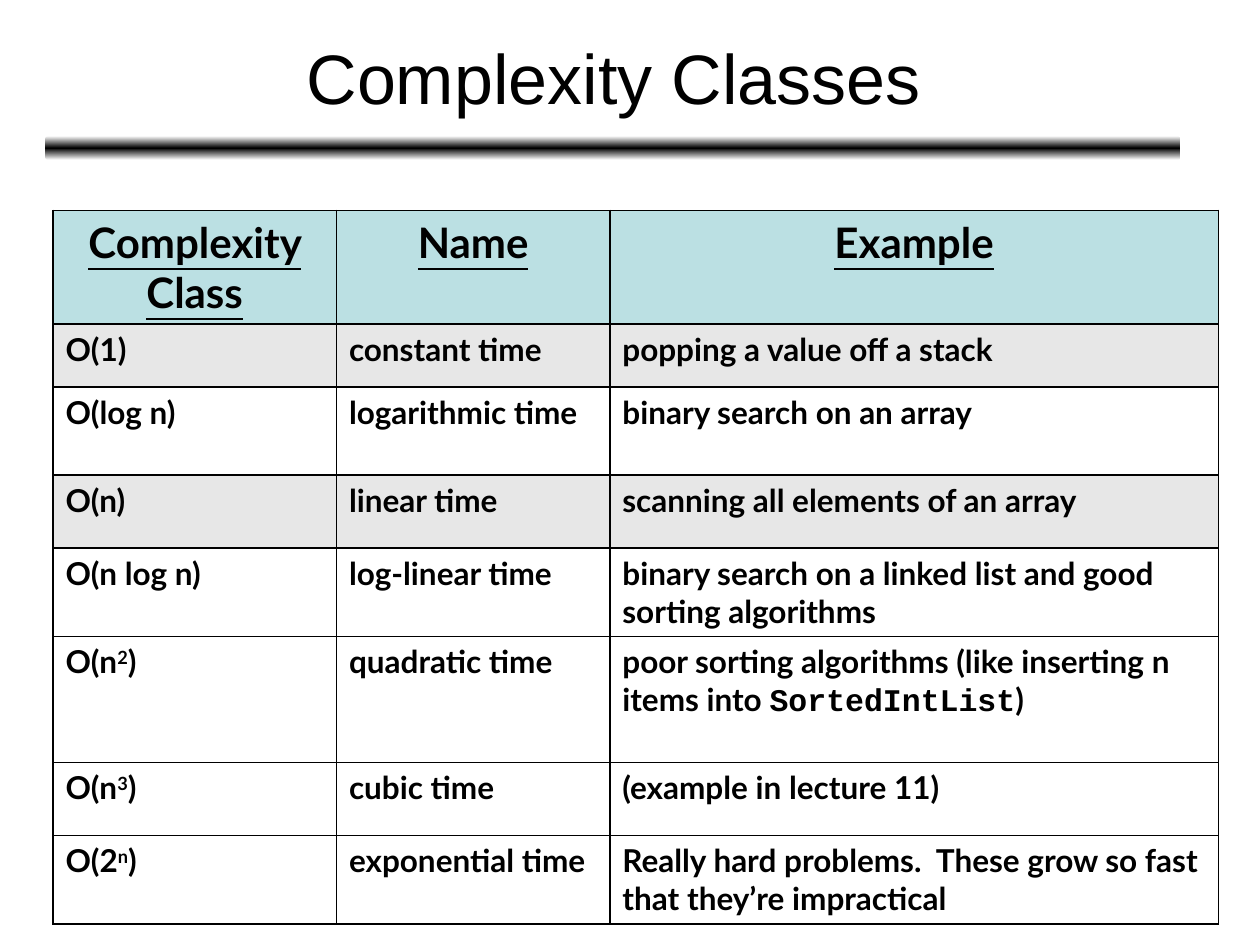
from copy import deepcopy
from dataclasses import dataclass

from lxml import etree
from pptx import Presentation
from pptx.dml.color import RGBColor
from pptx.enum.shapes import MSO_SHAPE
from pptx.enum.text import MSO_ANCHOR, PP_ALIGN
from pptx.oxml.ns import qn
from pptx.util import Inches, Pt

ROUNDED = MSO_SHAPE.ROUNDED_RECTANGLE
MIDDLE = MSO_ANCHOR.MIDDLE
CENTER = PP_ALIGN.CENTER
LEFT = PP_ALIGN.LEFT
COLUMNS, ROWS = 100, 75
WIDTH, HEIGHT = Inches(10), Inches(7.5)


@dataclass(frozen=True)
class Theme:
    black: str = "000000"
    white: str = "FFFFFF"
    header: str = "BBE0E3"
    band: str = "E7E7E7"
    title_font: str = "Arial"
    body_font: str = "Lato"
    code_font: str = "Courier New"
    title_size: int = 40
    header_size: int = 24
    body_size: int = 18
    border: float = 1.08


THEME = Theme()
COLUMN_WIDTHS = [22.5, 21.7, 48.3]
ROW_HEIGHTS = [9, 5, 7, 5.8, 7, 10, 5.8, 7]
BANDED_ROWS = {1, 3}
HEADINGS = ["Complexity Class", "Name", "Example"]


def power(base, exponent):
    """Return the runs of a big-O power."""
    return [(f"O({base}", ""), (exponent, "superscript"), (")", "")]


CLASSES = [
    ["O(1)", "constant time", "popping a value off a stack"],
    ["O(log n)", "logarithmic time", "binary search on an array"],
    ["O(n)", "linear time", "scanning all elements of an array"],
    ["O(n log n)", "log-linear time",
     "binary search on a linked list and good sorting algorithms"],
    [power("n", "2"), "quadratic time",
     [("poor sorting algorithms (like inserting n items into ", ""),
      ("SortedIntList", "code"), (")", "")]],
    [power("n", "3"), "cubic time", "(example in lecture 11)"],
    [power("2", "n"), "exponential time",
     "Really hard problems.  These grow so fast that they’re impractical"],
]


class SlideBuilder:
    """Draws styled elements on a slide, measured in grid columns and rows."""

    def __init__(self, slide, theme):
        self.slide = slide
        self.theme = theme

    def across(self, columns):
        """Convert grid columns to a length."""
        return round(WIDTH * columns / COLUMNS)

    def down(self, rows):
        """Convert grid rows to a length."""
        return round(HEIGHT * rows / ROWS)

    def box(self, left, top, width, height):
        """Convert a grid rectangle to lengths."""
        return self.across(left), self.down(top), self.across(width), self.down(height)

    def style(self, font, name, size, bold=False, underline=False):
        """Format one font in the text colour."""
        font.name, font.size = name, Pt(size)
        font.bold, font.underline = bold, underline
        font.color.rgb = RGBColor.from_string(self.theme.black)

    def title(self, text, *place):
        """Add the centred slide title."""
        frame = self.slide.shapes.add_textbox(*self.box(*place)).text_frame
        frame.word_wrap = True
        frame.vertical_anchor = MIDDLE
        frame.text = text
        paragraph = frame.paragraphs[0]
        paragraph.alignment = CENTER
        self.style(paragraph.runs[0].font, self.theme.title_font, self.theme.title_size)

    def gradient_bar(self, *place):
        """Add a bar that fades to white at its top and bottom edges."""
        shape = self.slide.shapes.add_shape(ROUNDED, *self.box(*place))
        shape.shadow.inherit = False
        shape.line.fill.background()
        shape.fill.gradient()
        shape.fill.gradient_angle = 90
        stops = shape.fill._fill._gradFill.find(qn("a:gsLst"))
        stops.append(deepcopy(stops[-1]))
        colors = (self.theme.white, self.theme.black, self.theme.white)
        for stop, position, color in zip(shape.fill.gradient_stops, (0, 0.5, 1), colors):
            stop.position = position
            stop.color.rgb = RGBColor.from_string(color)

    def borders(self, cell):
        """Draw all four borders of a cell."""
        properties = cell._tc.get_or_add_tcPr()
        for index, side in enumerate(("lnL", "lnR", "lnT", "lnB")):
            line = etree.Element(qn(f"a:{side}"), w=str(Pt(self.theme.border)))
            fill = etree.SubElement(line, qn("a:solidFill"))
            etree.SubElement(fill, qn("a:srgbClr"), val=self.theme.black)
            properties.insert(index, line)

    def cell(self, cell, content, fill, heading):
        """Fill one table cell with plain text or marked runs."""
        cell.fill.solid()
        cell.fill.fore_color.rgb = RGBColor.from_string(fill)
        self.borders(cell)
        paragraph = cell.text_frame.paragraphs[0]
        paragraph.alignment = CENTER if heading else LEFT
        size = self.theme.header_size if heading else self.theme.body_size
        for text, mark in [(content, "")] if isinstance(content, str) else content:
            run = paragraph.add_run()
            run.text = text
            name = self.theme.code_font if mark == "code" else self.theme.body_font
            self.style(run.font, name, size, bold=True, underline=heading)
            if mark == "superscript":
                run.font._element.set("baseline", "30000")

    def table(self, left, top, widths, heights, content, banded):
        """Add a bordered table with a heading row."""
        place = self.box(left, top, sum(widths), sum(heights))
        table = self.slide.shapes.add_table(len(heights), len(widths), *place).table
        for column, width in zip(table.columns, widths):
            column.width = self.across(width)
        for index, (row, height, values) in enumerate(zip(table.rows, heights, content)):
            row.height = self.down(height)
            fill = self.theme.band if index in banded else self.theme.white
            if index == 0:
                fill = self.theme.header
            for cell, value in zip(row.cells, values):
                self.cell(cell, value, fill, heading=index == 0)


def main():
    """Build and save the complexity classes slide."""
    presentation = Presentation()
    presentation.slide_width, presentation.slide_height = WIDTH, HEIGHT
    slide = presentation.slides.add_slide(presentation.slide_layouts[6])
    builder = SlideBuilder(slide, THEME)
    builder.gradient_bar(3.6, 10.8, 90.1, 1.9)
    builder.title("Complexity Classes", 3.7, 1.1, 90, 9.9)
    builder.table(4.2, 16.7, COLUMN_WIDTHS, ROW_HEIGHTS, [HEADINGS, *CLASSES], BANDED_ROWS)
    presentation.save("out.pptx")


if __name__ == "__main__":
    main()
